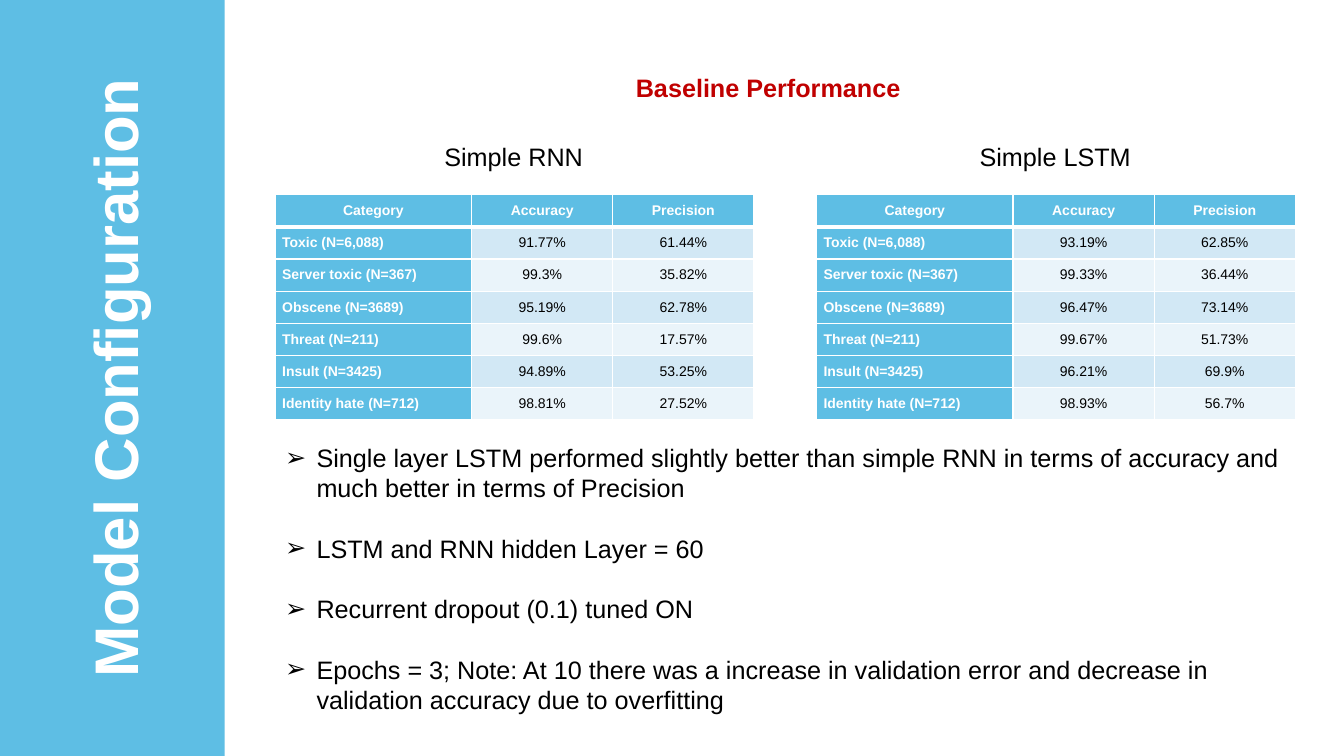
from lxml.etree import SubElement
from pptx import Presentation
from pptx.dml.color import RGBColor
from pptx.enum.shapes import MSO_SHAPE as Preset
from pptx.enum.text import MSO_ANCHOR as Anchor, PP_ALIGN as Align
from pptx.oxml.ns import qn
from pptx.util import Pt

SKY = RGBColor(0x5E, 0xBE, 0xE4)
PALE = RGBColor(0xD2, 0xE8, 0xF5)
PALEST = RGBColor(0xEA, 0xF4, 0xFA)
RED = RGBColor(0xC0, 0x00, 0x00)
BLACK = RGBColor(0x00, 0x00, 0x00)
WHITE = RGBColor(0xFF, 0xFF, 0xFF)

FONT = "Arial"
HEADER = ("Category", "Accuracy", "Precision")
CATEGORIES = ("Toxic (N=6,088)", "Server toxic (N=367)", "Obscene (N=3689)",
              "Threat (N=211)", "Insult (N=3425)", "Identity hate (N=712)")
RNN_SCORES = (("91.77%", "61.44%"), ("99.3%", "35.82%"), ("95.19%", "62.78%"),
              ("99.6%", "17.57%"), ("94.89%", "53.25%"), ("98.81%", "27.52%"))
LSTM_SCORES = (("93.19%", "62.85%"), ("99.33%", "36.44%"), ("96.47%", "73.14%"),
               ("99.67%", "51.73%"), ("96.21%", "69.9%"), ("98.93%", "56.7%"))
FINDINGS = (
    "Single layer LSTM performed slightly better than simple RNN in terms of "
    "accuracy and much better in terms of Precision",
    "LSTM and RNN hidden Layer = 60",
    "Recurrent dropout (0.1) tuned ON",
    "Epochs = 3; Note: At 10 there was a increase in validation error and "
    "decrease in validation accuracy due to overfitting",
)
COLUMN_WIDTHS = (140.4, 100.8, 100.8)
ROW_HEIGHT = 23
TABLE_TOP = 139
BULLET_INDENT = 22.5


def format_runs(para, size, color, bold=False):
    for span in para.runs:
        span.font.name = FONT
        span.font.size = Pt(size)
        span.font.bold = bold
        span.font.color.rgb = color


def add_side_panel(slide):
    panel = slide.shapes.add_shape(Preset.RECTANGLE, 0, 0, Pt(160.5), Pt(540))
    panel.shadow.inherit = False
    panel.fill.solid()
    panel.fill.fore_color.rgb = SKY
    panel.line.fill.background()


def add_text(slide, text, left, top, width, height, size=18, color=BLACK,
             bold=False, wrap=False):
    box = slide.shapes.add_textbox(Pt(left), Pt(top), Pt(width), Pt(height))
    box.text_frame.word_wrap = wrap
    box.text_frame.text = text
    for para in box.text_frame.paragraphs:
        format_runs(para, size, color, bold)
    return box


def add_side_title(slide, text):
    box = add_text(slide, text, -164.2, 229, 485.3, 82, 44, WHITE, True, True)
    box.rotation = 270
    box.text_frame.vertical_anchor = Anchor.MIDDLE
    para = box.text_frame.paragraphs[0]
    para.alignment = Align.CENTER
    para.line_spacing = 1.1
    para.space_before = Pt(8.8)


def add_heading(slide, text):
    box = add_text(slide, text, 447.1, 49.7, 204.5, 28, color=RED, bold=True)
    box.text_frame.paragraphs[0].line_spacing = 0.95


def add_bullets(slide, items):
    box = add_text(slide, "\n".join(items), 196.5, 312.5, 725.8, 203.8, wrap=True)
    for index, para in enumerate(box.text_frame.paragraphs):
        para.space_before = Pt(21.6 if index else 0)
        properties = para._p.get_or_add_pPr()
        properties.set("marL", str(Pt(BULLET_INDENT)))
        properties.set("indent", str(-Pt(BULLET_INDENT)))
        SubElement(properties, qn("a:buFont"), typeface=FONT)
        SubElement(properties, qn("a:buChar"), char="➢")


def set_borders(cell, top, bottom):
    """Draw white cell borders, one point wide at the sides."""
    properties = cell._tc.get_or_add_tcPr()
    for tag, width in (("lnL", 1), ("lnR", 1), ("lnT", top), ("lnB", bottom)):
        line = SubElement(properties, qn(f"a:{tag}"), w=str(Pt(width)))
        fill = SubElement(line, qn("a:solidFill"))
        SubElement(fill, qn("a:srgbClr"), val=str(WHITE))


def fill_cell(cell, text, row, column):
    is_label = row == 0 or column == 0
    set_borders(cell, top=3 if row == 1 else 1, bottom=3 if row == 0 else 1)
    cell.fill.solid()
    cell.fill.fore_color.rgb = SKY if is_label else PALE if row % 2 else PALEST
    cell.margin_left = cell.margin_right = Pt(5.1)
    cell.margin_top = cell.margin_bottom = 0
    cell.vertical_anchor = Anchor.MIDDLE
    cell.text_frame.text = text
    para = cell.text_frame.paragraphs[0]
    para.alignment = Align.JUSTIFY if row and column == 0 else Align.CENTER
    format_runs(para, 10, WHITE if is_label else BLACK, is_label)


def add_score_table(slide, left, scores):
    rows = [HEADER] + [(name, *pair) for name, pair in zip(CATEGORIES, scores)]
    frame = slide.shapes.add_table(
        len(rows), len(HEADER), Pt(left), Pt(TABLE_TOP),
        Pt(sum(COLUMN_WIDTHS)), Pt(ROW_HEIGHT * len(rows)))
    table = frame.table
    for column, width in zip(table.columns, COLUMN_WIDTHS):
        column.width = Pt(width)
    for row, texts in enumerate(rows):
        table.rows[row].height = Pt(ROW_HEIGHT)
        for column, text in enumerate(texts):
            fill_cell(table.cell(row, column), text, row, column)


def main():
    deck = Presentation()
    deck.slide_width, deck.slide_height = Pt(960), Pt(540)
    page = deck.slides.add_slide(deck.slide_layouts[6])
    add_side_panel(page)
    add_side_title(page, "Model Configuration")
    add_heading(page, "Baseline Performance")
    add_bullets(page, FINDINGS)
    add_text(page, "Simple RNN", 310.3, 97.2, 114.5, 29)
    add_text(page, "Simple LSTM", 692.6, 97.2, 123.8, 29)
    add_score_table(page, 196.5, RNN_SCORES)
    add_score_table(page, 583.2, LSTM_SCORES)
    deck.save("out.pptx")


if __name__ == "__main__":
    main()
